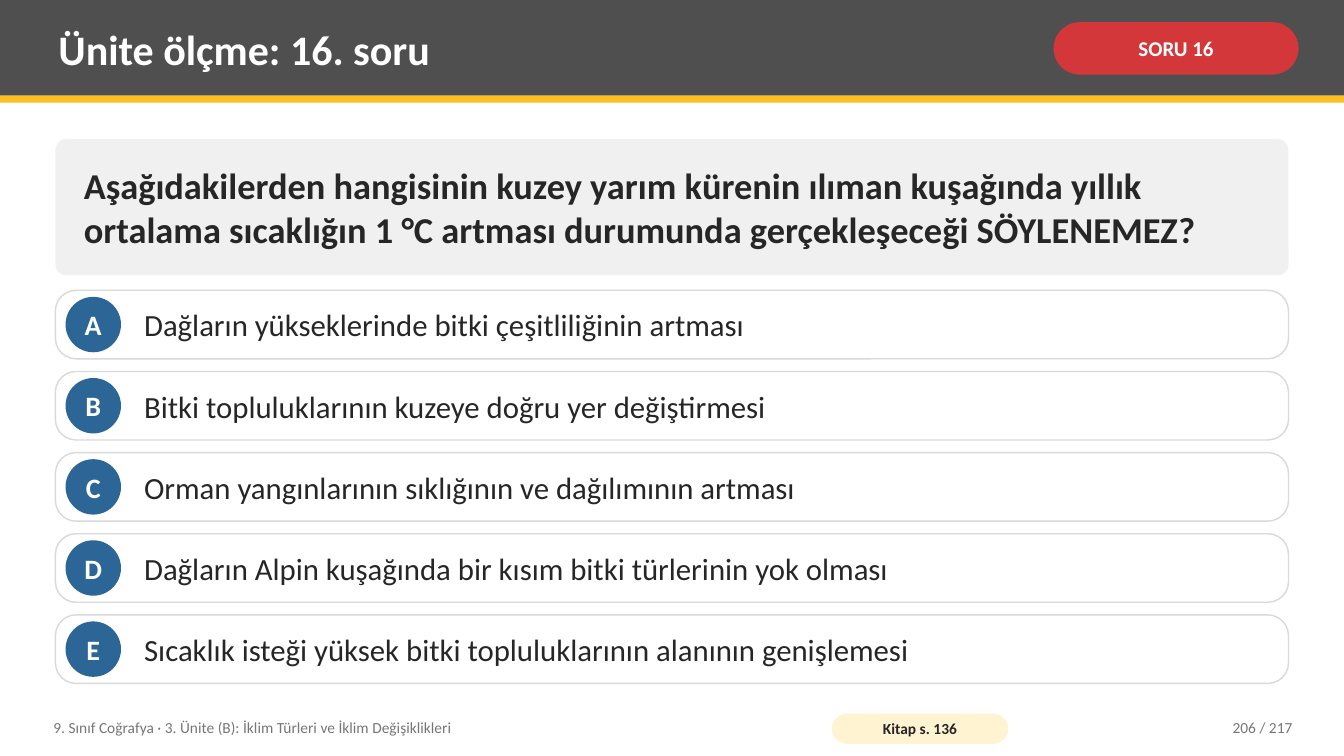
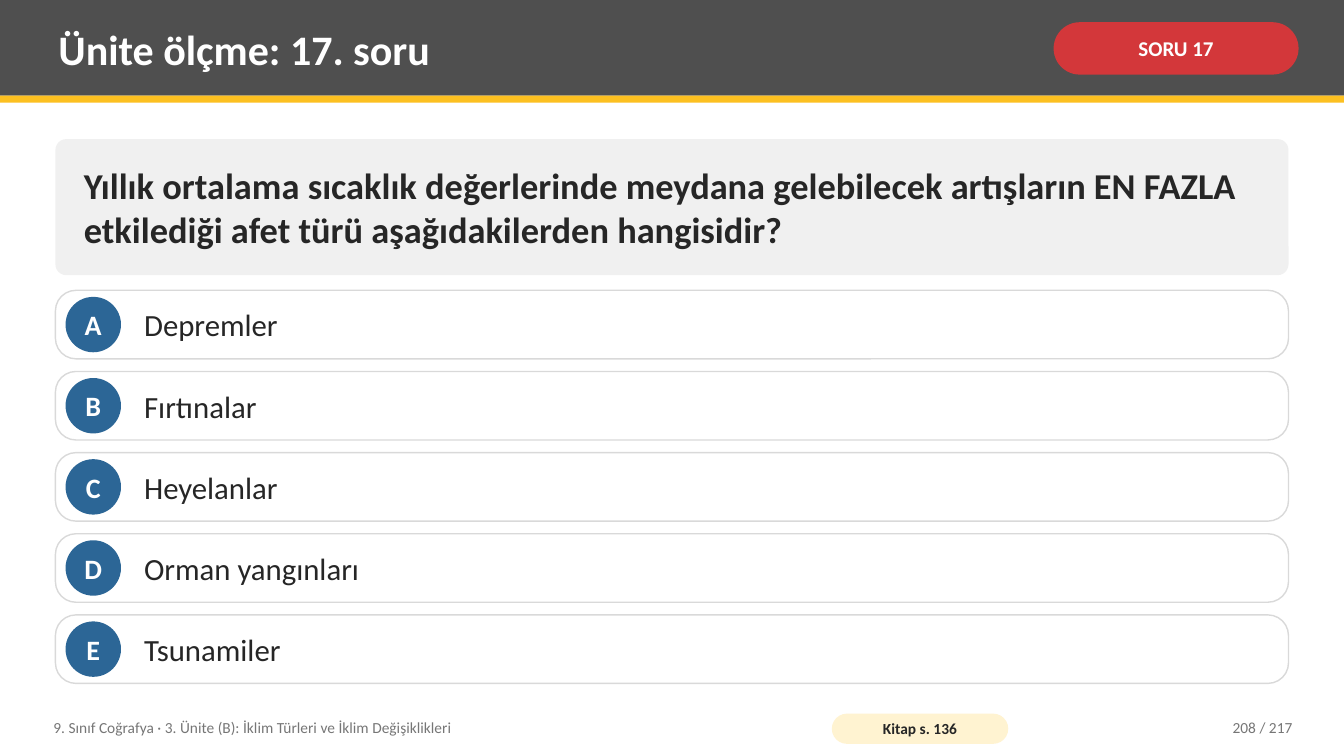
from dataclasses import dataclass

from pptx import Presentation
from pptx.dml.color import RGBColor
from pptx.enum.shapes import MSO_SHAPE
from pptx.enum.text import MSO_ANCHOR, PP_ALIGN
from pptx.util import Inches, Pt

RECT = MSO_SHAPE.RECTANGLE
ROUNDED = MSO_SHAPE.ROUNDED_RECTANGLE
OVAL = MSO_SHAPE.OVAL
MIDDLE = MSO_ANCHOR.MIDDLE
LEFT, CENTER, RIGHT = PP_ALIGN.LEFT, PP_ALIGN.CENTER, PP_ALIGN.RIGHT

CELL = 0.05
COLUMNS, ROWS = 266.6, 150
MARGIN = 11


@dataclass(frozen=True)
class Theme:
    font: str = "Calibri"
    white: str = "FFFFFF"
    ink: str = "262626"
    muted: str = "767676"
    header: str = "4F4F4F"
    accent: str = "FCC021"
    badge: str = "D3373A"
    panel: str = "F0F0F0"
    outline: str = "D9D9D9"
    letter: str = "2C6696"
    chip: str = "FFF3D1"
    title_size: int = 30
    question_size: int = 26
    option_size: int = 22
    letter_size: int = 20
    badge_size: int = 15
    footer_size: int = 11


THEME = Theme()


@dataclass(frozen=True)
class Box:
    left: float
    top: float
    width: float
    height: float

    def inner(self, left, top, width, height):
        return Box(self.left + left, self.top + top, width, height)

    def emu(self):
        return [Inches(cells * CELL) for cells in (self.left, self.top, self.width, self.height)]


@dataclass(frozen=True)
class Question:
    number: int
    text: str
    options: tuple
    page: int


COURSE = "9. Sınıf Coğrafya · 3. Ünite (B): İklim Türleri ve İklim Değişiklikleri"
BOOK_PAGE = "Kitap s. 136"
PAGE_COUNT = 217
QUESTIONS = (
    Question(
        16,
        "Aşağıdakilerden hangisinin kuzey yarım kürenin ılıman kuşağında yıllık "
        "ortalama sıcaklığın 1 °C artması durumunda gerçekleşeceği SÖYLENEMEZ?",
        (
            "Dağların yükseklerinde bitki çeşitliliğinin artması",
            "Bitki topluluklarının kuzeye doğru yer değiştirmesi",
            "Orman yangınlarının sıklığının ve dağılımının artması",
            "Dağların Alpin kuşağında bir kısım bitki türlerinin yok olması",
            "Sıcaklık isteği yüksek bitki topluluklarının alanının genişlemesi",
        ),
        206,
    ),
    Question(
        17,
        "Yıllık ortalama sıcaklık değerlerinde meydana gelebilecek artışların EN FAZLA "
        "etkilediği afet türü aşağıdakilerden hangisidir?",
        ("Depremler", "Fırtınalar", "Heyelanlar", "Orman yangınları", "Tsunamiler"),
        208,
    ),
)


def color(code):
    return RGBColor.from_string(code)


def write(holder, text, size, ink, bold=False, align=LEFT, inset=(0.08, 0.04), wrap=True):
    frame = holder.text_frame
    frame.word_wrap = wrap
    frame.vertical_anchor = MIDDLE
    frame.margin_left = frame.margin_right = Inches(inset[0])
    frame.margin_top = frame.margin_bottom = Inches(inset[1])
    paragraph = frame.paragraphs[0]
    paragraph.text = text
    paragraph.alignment = align
    paragraph.font.name = THEME.font
    paragraph.font.size = Pt(size)
    paragraph.font.bold = bold
    paragraph.font.color.rgb = color(ink)


def add_label(slide, box, text, size, ink, **style):
    write(slide.shapes.add_textbox(*box.emu()), text, size, ink, **style)


def add_block(slide, kind, box, fill, rounding=None, outline=None):
    block = slide.shapes.add_shape(kind, *box.emu())
    block.shadow.inherit = False
    block.fill.solid()
    block.fill.fore_color.rgb = color(fill)
    if rounding is not None:
        block.adjustments[0] = rounding
    if outline:
        block.line.color.rgb = color(outline)
        block.line.width = Pt(1)
    else:
        block.line.fill.background()
    return block


def add_header(slide, box, number):
    add_block(slide, RECT, box, THEME.header)
    add_block(slide, RECT, box.inner(0, box.height, box.width, 1.4), THEME.accent)
    add_label(slide, box.inner(10, 1.4, 195, 16.4), f"Ünite ölçme: {number}. soru",
              THEME.title_size, THEME.white, bold=True)
    badge = add_block(slide, ROUNDED, box.inner(209, 4.4, 48.6, 10.4), THEME.badge, 0.5)
    write(badge, f"SORU {number}", THEME.badge_size, THEME.white,
          bold=True, align=CENTER, inset=(0.05, 0.02))


def add_question(slide, box, text):
    panel = add_block(slide, ROUNDED, box, THEME.panel, 0.08)
    write(panel, text, THEME.question_size, THEME.ink, bold=True, inset=(0.25, 0.08))


def add_option(slide, box, letter, text):
    add_block(slide, ROUNDED, box, THEME.white, 0.3, THEME.outline)
    diameter = 11
    circle_box = box.inner(2, (box.height - diameter) / 2, diameter, diameter)
    circle = add_block(slide, OVAL, circle_box, THEME.letter)
    write(circle, letter, THEME.letter_size, THEME.white,
          bold=True, align=CENTER, inset=(0, 0), wrap=False)
    add_label(slide, box.inner(16, 0, box.width - 20, box.height), text,
              THEME.option_size, THEME.ink)


def add_options(slide, box, options):
    gap = 2.5
    height = (box.height - gap * (len(options) - 1)) / len(options)
    for index, (letter, text) in enumerate(zip("ABCDE", options)):
        row = box.inner(0, index * (height + gap), box.width, height)
        add_option(slide, row, letter, text)


def add_footer(slide, box, page):
    add_label(slide, box.inner(9, 0, 152, box.height), COURSE, THEME.footer_size, THEME.muted)
    chip = add_block(slide, ROUNDED, box.inner(165, 0.8, 35, 6), THEME.chip, 0.5)
    write(chip, BOOK_PAGE, THEME.footer_size, THEME.ink,
          bold=True, align=CENTER, inset=(0.04, 0))
    add_label(slide, box.inner(226, 0, 32, box.height), f"{page} / {PAGE_COUNT}",
              THEME.footer_size, THEME.muted, align=RIGHT)


def add_question_slide(deck, question):
    slide = deck.slides.add_slide(deck.slide_layouts[6])
    page = Box(0, 0, COLUMNS, ROWS)
    content_width = page.width - 2 * MARGIN
    add_header(slide, page.inner(0, 0, page.width, 19), question.number)
    add_question(slide, page.inner(MARGIN, 27.6, content_width, 27), question.text)
    add_options(slide, page.inner(MARGIN, 57.6, content_width, 78), question.options)
    add_footer(slide, page.inner(0, 140.8, page.width, 7.2), question.page)


def main():
    deck = Presentation()
    deck.slide_width = Inches(COLUMNS * CELL)
    deck.slide_height = Inches(ROWS * CELL)
    for question in QUESTIONS:
        add_question_slide(deck, question)
    deck.save("out.pptx")


if __name__ == "__main__":
    main()
